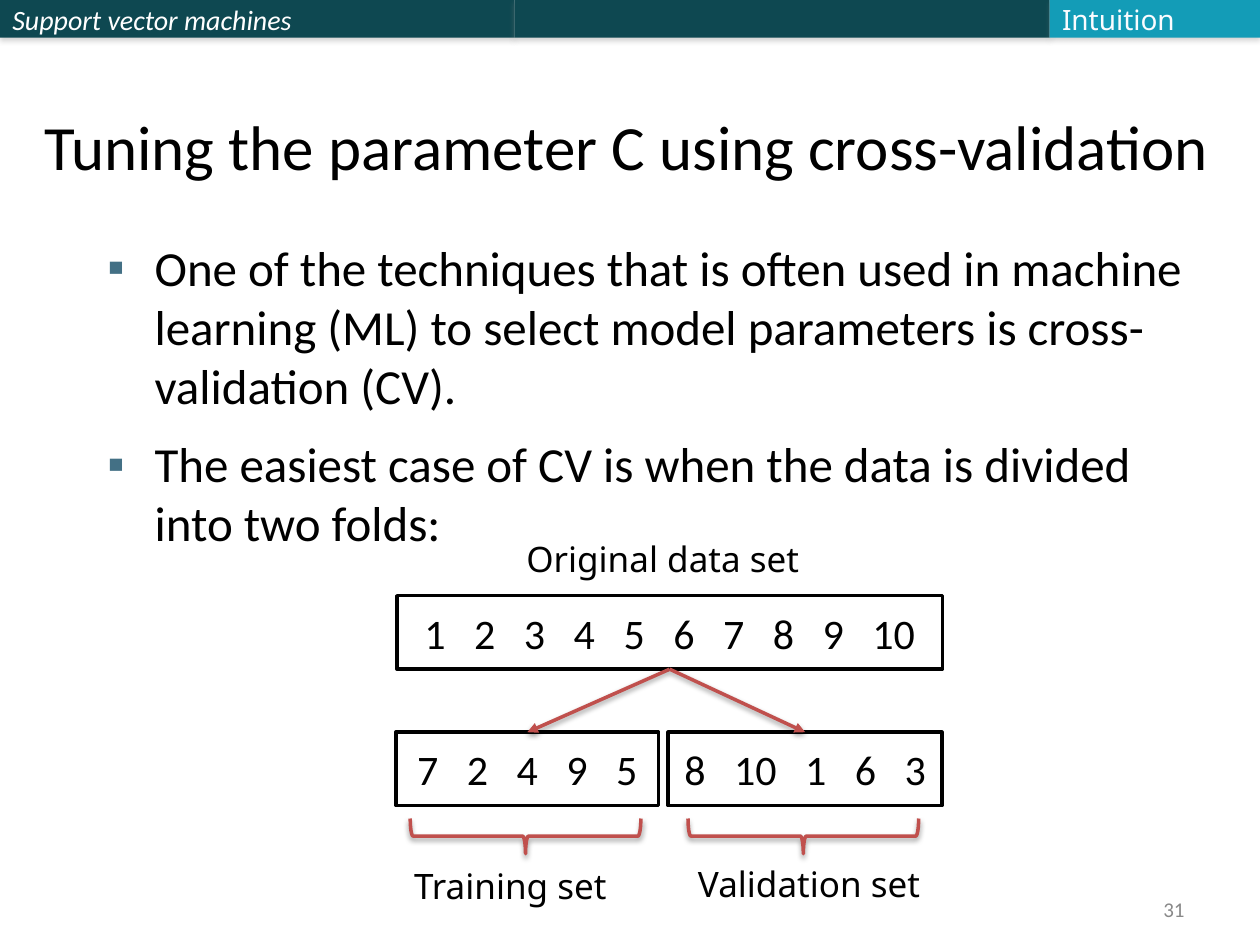
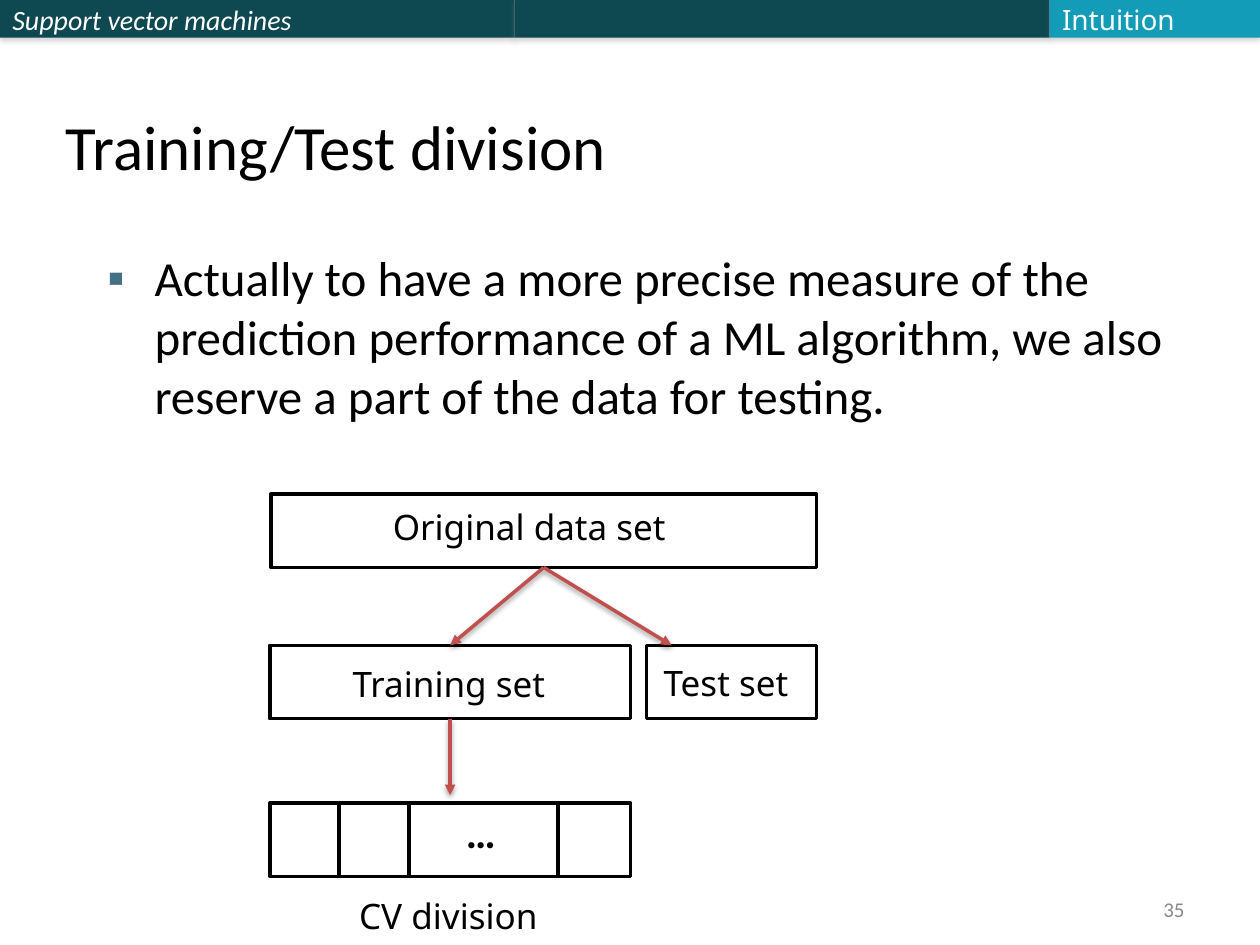
from lxml.etree import SubElement
from pptx import Presentation
from pptx.dml.color import RGBColor
from pptx.enum.shapes import MSO_CONNECTOR, MSO_SHAPE
from pptx.enum.text import MSO_ANCHOR, MSO_AUTO_SIZE, PP_ALIGN
from pptx.oxml.ns import qn
from pptx.util import Cm, Pt

COLORS = dict(dark="0E4851", teal="139CB7", white="FFFFFF", pale="FBFCFF",
              black="000000", gray="898989", red="C0504D", bullet="437085",
              band_shadow="808080")

# Text formats
TITLE = dict(name="Calibri", size=36, color="black")
BODY = dict(name="Calibri", size=28, color="black")
DATA = dict(name="Calibri", size=24, color="black")
DOTS = dict(DATA, bold=True)
LABEL = dict(name="Noto Sans", size=20, color="black")
NUMBER = dict(name="Calibri", size=12, color="gray")
TOPIC = dict(name="Calibri", size=16, color="white", italic=True)
SECTION = dict(name="Noto Sans", size=16, color="pale")

# Header bands from left to right: width, fill, text, format
BANDS = [(10.37, "dark", "Support vector machines", TOPIC),
         (10.79, "dark", "", TOPIC),
         (4.24, "teal", "Intuition", SECTION)]
BAND_H, BOX_H = 0.76, 1.48
LINE_W = 2
DATA_GAP = 1085  # extra width of the space between data items, 1/100 pt

CROSS_VALIDATION = dict(
    title="Tuning the parameter C using cross-validation",
    title_left=0.64, number=31, body_at=(1.91, 4.66, 22.43, 13.55),
    bullets=["One of the techniques that is often used in machine learning (ML) "
             "to select model parameters is cross-validation (CV).",
             "The easiest case of CV is when the data is divided into two folds:"],
    # left, top, width, data items
    boxes=[(8, 12.01, 11, "1 2 3 4 5 6 7 8 9 10"),
           (7.98, 14.76, 5.3, "7 2 4 9 5"),
           (13.47, 14.76, 5.52, "8 10 1 6 3")],
    # left, top, width, text, format
    labels=[(10.36, 10.72, 6.22, "Original data set", LABEL),
            (8.1, 17.3, 4.65, "Training set", LABEL),
            (13.82, 17.27, 5.23, "Validation set", LABEL)])

TEST_DIVISION = dict(
    title="Training/Test division",
    title_left=1.07, number=35, body_at=(1.91, 4.87, 22.66, 13.55),
    bullets=["Actually to have a more precise measure of the prediction performance "
             "of a ML algorithm, we also reserve a part of the data for testing."],
    boxes=[(5.46, 9.96, 11, ""),
           (5.44, 13.01, 7.27, ""),
           (13.03, 13.01, 3.43, ""),
           (5.44, 16.19, 7.27, "")],
    labels=[(7.67, 10.06, 6.22, "Original data set", LABEL),
            (6.86, 13.23, 4.65, "Training set", LABEL),
            (13.13, 13.21, 3.25, "Test set", LABEL),
            (9.14, 16.13, 1.12, "…", DOTS),
            (6.99, 17.91, 4.37, "CV division", LABEL)])

BRACES = [(8.27, 4.65), (13.87, 4.65)]  # left, width
BRACE_TOP, BRACE_H = 16.5, 0.71
TEST_ARROW_X = 13.54
FOLD_EDGES = [1.4, 2.8, 5.8]  # from the left side of the CV box


def rgb(name):
    return RGBColor.from_string(COLORS[name])


def add_run(p, text, fmt):
    r = p.add_run()
    r.text = text
    for key, value in fmt.items():
        if key == "color":
            r.font.color.rgb = rgb(value)
        else:
            setattr(r.font, key, Pt(value) if key == "size" else value)
    return r


def set_effect(shape, color=None, alpha=38):
    """Replace the theme's shadow by a soft one below, or by none."""
    pr = shape.element.spPr
    effects = SubElement(pr, qn("a:effectLst"))
    if color:
        shadow = SubElement(effects, qn("a:outerShdw"), blurRad="40000",
                            dist="21000", dir="5400000", rotWithShape="0")
        clr = SubElement(shadow, qn("a:srgbClr"), val=COLORS[color])
        SubElement(clr, qn("a:alpha"), val=str(alpha * 1000))


def add_shape(s, kind, at, fill=None, line=None):
    sp = s.shapes.add_shape(kind, *map(Cm, at))
    if fill:
        sp.fill.solid()
        sp.fill.fore_color.rgb = rgb(fill)
    else:
        sp.fill.background()
    if line:
        sp.line.color.rgb = rgb(line)
        sp.line.width = Pt(LINE_W)
    else:
        sp.line.fill.background()
    return sp


def add_line(s, x1, y1, x2, y2, color="black", width=2.25):
    line = s.shapes.add_connector(MSO_CONNECTOR.STRAIGHT, *map(Cm, (x1, y1, x2, y2)))
    line.line.color.rgb = rgb(color)
    line.line.width = Pt(width)
    return line


def add_arrow(s, *ends):
    arrow = add_line(s, *ends, color="red", width=LINE_W)
    SubElement(arrow.element.spPr.find(qn("a:ln")), qn("a:tailEnd"), type="triangle")
    set_effect(arrow, "black")


def add_brace(s, left, width):
    """Brace that opens upwards: a left brace turned about its centre."""
    x = left + (width - BRACE_H) / 2
    y = BRACE_TOP + (BRACE_H - width) / 2
    sp = add_shape(s, MSO_SHAPE.LEFT_BRACE, (x, y, BRACE_H, width), line="red")
    sp.rotation = 270
    set_effect(sp, "black")


def add_box(s, left, top, width, items):
    sp = add_shape(s, MSO_SHAPE.RECTANGLE, (left, top, width, BOX_H), line="black")
    set_effect(sp)
    p = sp.text_frame.paragraphs[0]
    p.alignment = PP_ALIGN.CENTER
    for i, item in enumerate(items.split()):
        if i:
            gap = add_run(p, " ", DATA)
            gap.font._element.set("spc", str(DATA_GAP))
        add_run(p, item, DATA)


def add_label(s, left, top, width, text, fmt):
    tf = s.shapes.add_textbox(*map(Cm, (left, top, width, 1.12))).text_frame
    tf.word_wrap = False
    tf.auto_size = MSO_AUTO_SIZE.SHAPE_TO_FIT_TEXT
    add_run(tf.paragraphs[0], text, fmt)


def add_bands(s):
    left = 0
    for width, fill, text, fmt in BANDS:
        sp = add_shape(s, MSO_SHAPE.RECTANGLE, (left, 0, width, BAND_H), fill=fill)
        set_effect(sp, "band_shadow", 35)
        tf = sp.text_frame
        tf.margin_top = tf.margin_bottom = 0
        if text:
            tf.paragraphs[0].alignment = PP_ALIGN.LEFT
            add_run(tf.paragraphs[0], text, fmt)
        left += width


def place(sp, *at):
    sp.left, sp.top, sp.width, sp.height = map(Cm, at)
    return sp.text_frame


def add_bullets(tf, bullets):
    for i, text in enumerate(bullets):
        p = tf.add_paragraph() if i else tf.paragraphs[0]
        if i:
            p.space_before = Pt(11.4)
        add_run(p, text, BODY)
        pr = p._p.get_or_add_pPr()
        SubElement(SubElement(pr, qn("a:buClr")), qn("a:srgbClr"), val=COLORS["bullet"])
        SubElement(pr, qn("a:buChar"), char="▪")


def add_slide(prs, content):
    s = prs.slides.add_slide(prs.slide_layouts[1])
    add_bands(s)
    tf = place(s.shapes.title, content["title_left"], 1.07, 24.13, 2.74)
    tf.vertical_anchor = MSO_ANCHOR.BOTTOM
    tf.paragraphs[0].alignment = PP_ALIGN.LEFT
    add_run(tf.paragraphs[0], content["title"], TITLE)
    add_bullets(place(s.placeholders[1], *content["body_at"]), content["bullets"])

    tf = s.shapes.add_textbox(*map(Cm, (18.21, 17.98, 5.92, 0.69))).text_frame
    tf.word_wrap = True
    tf.vertical_anchor = MSO_ANCHOR.MIDDLE
    tf.paragraphs[0].alignment = PP_ALIGN.RIGHT
    add_run(tf.paragraphs[0], str(content["number"]), NUMBER)

    for box in content["boxes"]:
        add_box(s, *box)
    for label in content["labels"]:
        add_label(s, *label)
    return s


def bottom(box):
    left, top, width, _ = box
    return left + width / 2, top + BOX_H


def top_center(box):
    left, top, width, _ = box
    return left + width / 2, top


def main():
    prs = Presentation()
    prs.slide_width, prs.slide_height = Cm(25.4), Cm(19.05)

    s = add_slide(prs, CROSS_VALIDATION)
    whole, *folds = CROSS_VALIDATION["boxes"]
    for fold in folds:
        add_arrow(s, *bottom(whole), *top_center(fold))
    for brace in BRACES:
        add_brace(s, *brace)

    s = add_slide(prs, TEST_DIVISION)
    whole, training, test, cv = TEST_DIVISION["boxes"]
    add_arrow(s, *bottom(whole), *top_center(training))
    add_arrow(s, *bottom(whole), TEST_ARROW_X, test[1])
    cv_x, cv_top = top_center(cv)
    add_arrow(s, *bottom(training), cv_x, cv_top - 0.16)
    for edge in FOLD_EDGES:
        x = cv[0] + edge
        set_effect(add_line(s, x, cv_top, x, cv_top + BOX_H))

    prs.save("out.pptx")


if __name__ == "__main__":
    main()
